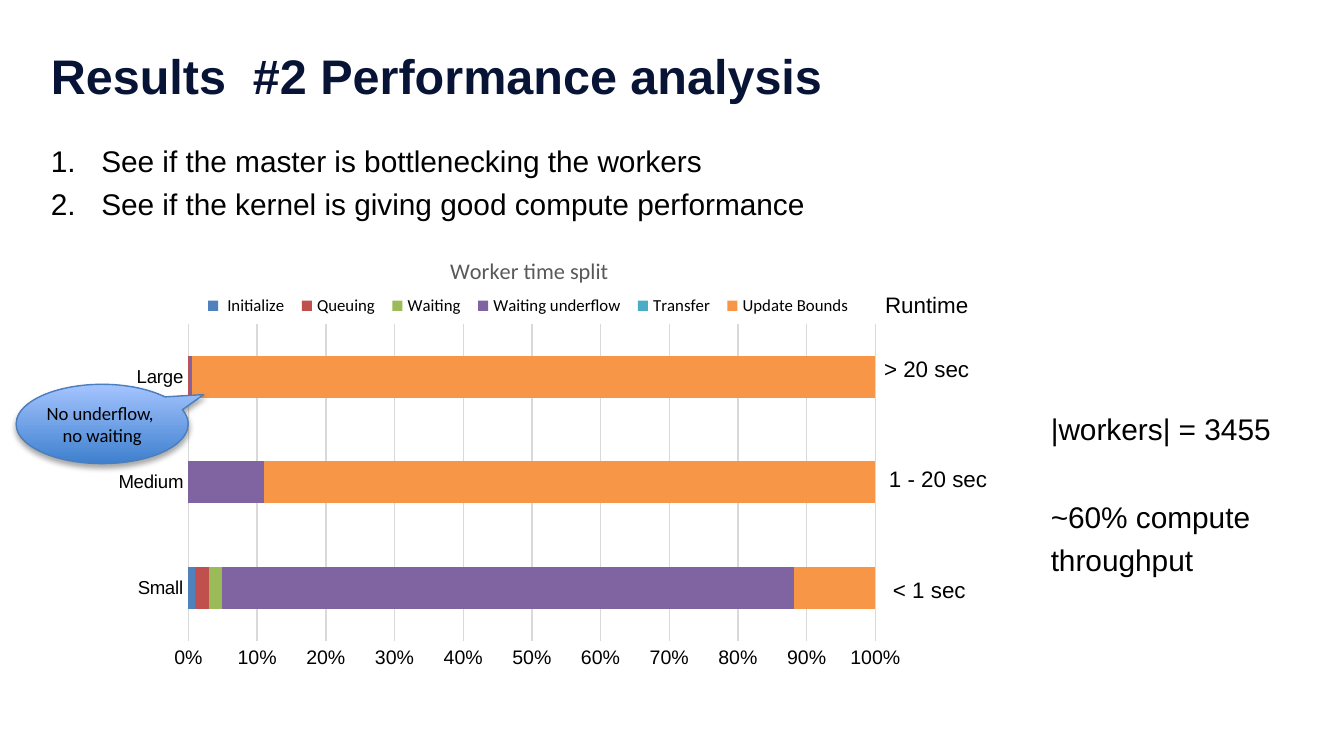
from lxml import etree
from pptx import Presentation
from pptx.chart.data import CategoryChartData
from pptx.dml.color import RGBColor
from pptx.enum.chart import XL_CHART_TYPE as ChartType, XL_LEGEND_POSITION as LegendPosition, XL_TICK_MARK as TickMark
from pptx.enum.shapes import MSO_SHAPE as Shape
from pptx.enum.text import MSO_ANCHOR as Anchor, PP_ALIGN as Align
from pptx.oxml import parse_xml
from pptx.oxml.ns import nsdecls, qn
from pptx.util import Pt

WHITE = RGBColor(0xFF, 0xFF, 0xFF)
BLACK = RGBColor(0, 0, 0)
NAVY = RGBColor(0x08, 0x14, 0x35)
TITLE_GRAY = RGBColor(0x59, 0x59, 0x59)
GRID_GRAY = RGBColor(0xD9, 0xD9, 0xD9)
CALLOUT_LINE = RGBColor(0x4B, 0x7E, 0xBC)
CALLOUT_DARK = RGBColor(0x3F, 0x80, 0xCE)
CALLOUT_LIGHT = RGBColor(0xA4, 0xC4, 0xFF)
BLUE = RGBColor(0x4F, 0x81, 0xBD)
RED = RGBColor(0xC0, 0x50, 0x4D)
GREEN = RGBColor(0x9B, 0xBB, 0x59)
PURPLE = RGBColor(0x80, 0x64, 0xA2)
TEAL = RGBColor(0x4B, 0xAC, 0xC6)
ORANGE = RGBColor(0xF7, 0x96, 0x46)

deck = Presentation()
deck.slide_width, deck.slide_height = Pt(720), Pt(405)
page = deck.slides.add_slide(deck.slide_layouts[6])
page.background.fill.solid()
page.background.fill.fore_color.rgb = WHITE


def add_text(left, top, width, height, lines, size, color=BLACK, align=Align.LEFT, spacing=1.2):
    box = page.shapes.add_textbox(Pt(left), Pt(top), Pt(width), Pt(height))
    frame = box.text_frame
    frame.word_wrap = True
    frame.text = "\n".join(lines)
    for para in frame.paragraphs:
        para.alignment = align
        para.line_spacing = spacing
        para.font.name = "Arial"
        para.font.size = Pt(size)
        para.font.color.rgb = color
    return frame


def place(element, index, **ratios):
    for old in element.findall(qn("c:layout")):
        element.remove(old)
    layout = parse_xml(f"<c:layout {nsdecls('c')}><c:manualLayout/></c:layout>")
    for tag, value in ratios.items():
        etree.SubElement(layout[0], qn(f"c:{tag}")).set("val", str(value))
    element.insert(index, layout)


title = add_text(20.16, 16.56, 634.32, 47.52, ["Results  #2 Performance analysis"], 26, NAVY, spacing=1)
title.vertical_anchor = Anchor.MIDDLE
title.paragraphs[0].font.bold = True

goals = add_text(20.16, 69.12, 648.72, 58, [
    "See if the master is bottlenecking the workers",
    "See if the kernel is giving good compute performance",
], 16)
for para in goals.paragraphs:
    props = para._p.get_or_add_pPr()
    props.set("marL", str(Pt(27)))
    props.set("indent", str(Pt(-27)))
    number = parse_xml(f'<a:buAutoNum {nsdecls("a")} type="arabicPeriod"/>')
    props.find(qn("a:defRPr")).addprevious(number)

series_rows = [
    (" Initialize", (1, 0, 0), BLUE),
    ("Queuing", (2, 0, 2), RED),
    ("Waiting", (2, 0, 2), GREEN),
    ("Waiting underflow", (84, 11, 96), PURPLE),
    ("Transfer", (0, 0, 0), TEAL),
    ("Update Bounds", (12, 89, 19900), ORANGE),
]
data = CategoryChartData()
data.categories = ["Small", "Medium", "Large"]
for name, values, color in series_rows:
    data.add_series(name, values)
chart = page.shapes.add_chart(
    ChartType.BAR_STACKED_100, Pt(63.36), Pt(127.44), Pt(419.04), Pt(242.64), data).chart
chart.font.name = "Calibri"
chart.font.size = Pt(10)
chart.font.color.rgb = BLACK

plot = chart.plots[0]
plot.gap_width = 150
plot.overlap = 100
plot.vary_by_categories = False
for series, (name, values, color) in zip(plot.series, series_rows):
    series.format.fill.solid()
    series.format.fill.fore_color.rgb = color

chart.has_title = True
chart.chart_title.text_frame.text = "Worker time split"
heading = chart.chart_title.text_frame.paragraphs[0].font
heading.name = "Calibri"
heading.size = Pt(12)
heading.bold = False
heading.color.rgb = TITLE_GRAY

chart.has_legend = True
legend = chart.legend
legend.position = LegendPosition.TOP
legend.include_in_layout = False
legend.font.name = "Calibri"
legend.font.size = Pt(9)
legend.font.color.rgb = BLACK

for axis, size in ((chart.category_axis, 10), (chart.value_axis, 10.5)):
    axis.major_tick_mark = axis.minor_tick_mark = TickMark.NONE
    axis.tick_labels.font.name = "Arial"
    axis.tick_labels.font.size = Pt(size)
    axis.tick_labels.font.color.rgb = BLACK
chart.value_axis.format.line.fill.background()
chart.value_axis.tick_labels.number_format = "0%"
chart.value_axis.tick_labels.number_format_is_linked = False
for line in (chart.category_axis.format.line, chart.value_axis.major_gridlines.format.line):
    line.color.rgb = GRID_GRAY
    line.width = Pt(0.75)

place(chart.chart_title._element, 1, xMode="edge", yMode="edge", x=0.42, y=0.03)
place(legend._element, 1, xMode="edge", yMode="edge", x=0.1, y=0.12, w=0.85, h=0.06)
place(chart._chartSpace.chart.plotArea, 0, layoutTarget="inner", xMode="edge", yMode="edge",
      x=0.09, y=0.19, w=0.88, h=0.7)

for left, top, width, label in (
    (464.4, 183.6, 64.08, "> 20 sec"),
    (465.84, 242.64, 73.44, "1 - 20 sec"),
    (465.84, 302.4, 64.08, "< 1 sec"),
    (464.4, 149.76, 64.08, "Runtime"),
):
    add_text(left, top, width, 23.04, [label], 12, align=Align.CENTER)

callout = page.shapes.add_shape(Shape.OVAL_CALLOUT, Pt(8.64), Pt(205.92), Pt(92.16), Pt(42.48))
callout.adjustments[0] = 0.59
callout.adjustments[1] = -0.37
callout.fill.gradient()
callout.fill.gradient_angle = 90
for stop, position, color in zip(callout.fill.gradient_stops, (0, 1), (CALLOUT_DARK, CALLOUT_LIGHT)):
    stop.position = position
    stop.color.rgb = color
callout.line.color.rgb = CALLOUT_LINE
callout.line.width = Pt(0.75)
callout.shadow.inherit = False
callout._element.spPr.find(qn("a:effectLst")).append(parse_xml(
    f'<a:outerShdw {nsdecls("a")} blurRad="{Pt(3.1)}" dist="{Pt(1.8)}" dir="5400000" rotWithShape="0">'
    '<a:srgbClr val="000000"><a:alpha val="35000"/></a:srgbClr></a:outerShdw>'))
frame = callout.text_frame
frame.margin_left = frame.margin_right = frame.margin_top = frame.margin_bottom = 0
frame.vertical_anchor = Anchor.MIDDLE
frame.text = "No underflow, \nno waiting"
for para in frame.paragraphs:
    para.alignment = Align.CENTER
    para.font.name = "Calibri"
    para.font.size = Pt(10)
    para.font.color.rgb = BLACK

add_text(555.84, 212.4, 135.36, 28.08, ["|workers| = 3455"], 16)
add_text(555.84, 259.92, 127.44, 51.84, ["~60% compute \vthroughput"], 16).word_wrap = False

deck.save("out.pptx")
